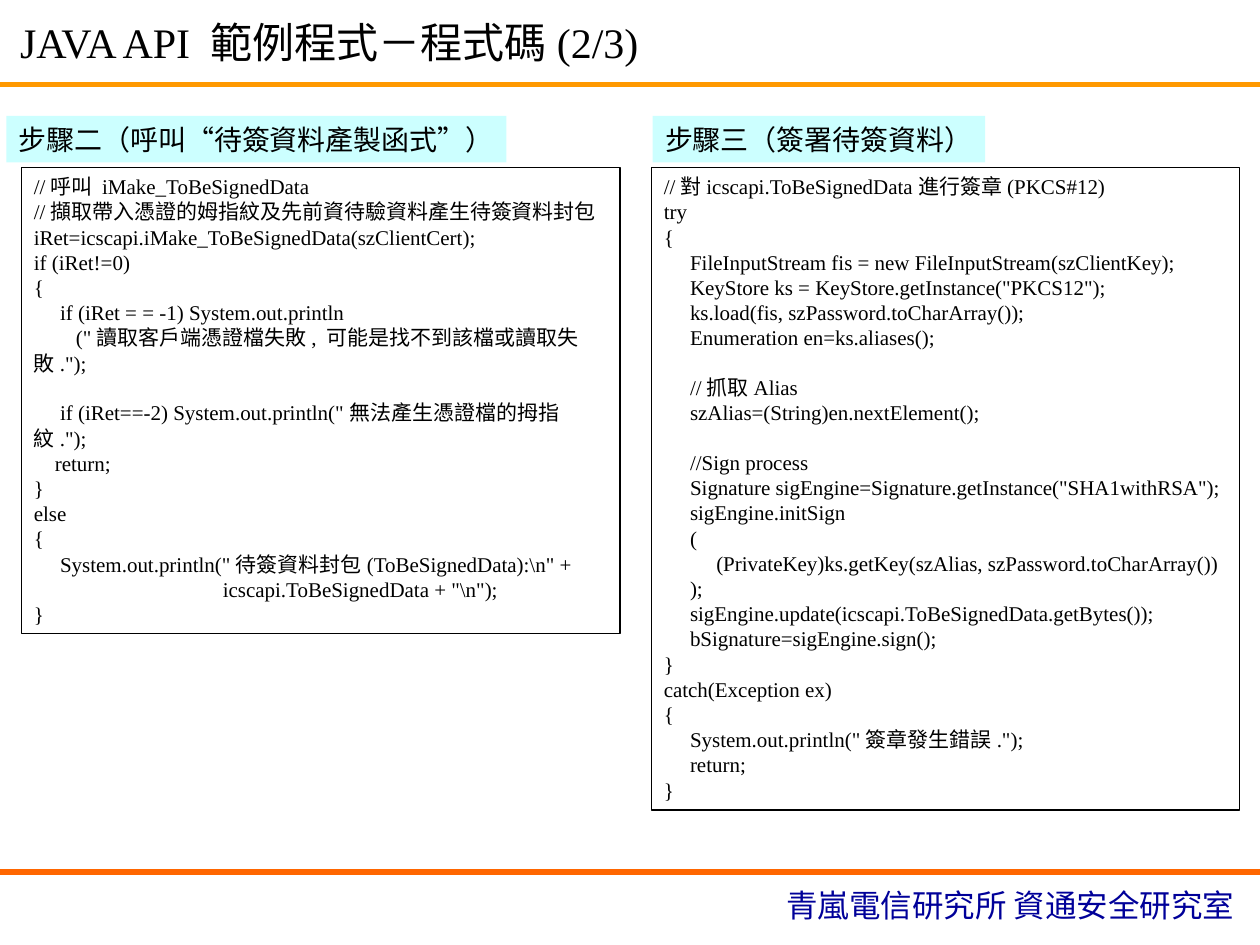
from lxml.etree import SubElement
from pptx import Presentation
from pptx.dml.color import RGBColor
from pptx.enum.shapes import MSO_CONNECTOR, MSO_SHAPE
from pptx.enum.text import MSO_ANCHOR, MSO_AUTO_SIZE, PP_ALIGN
from pptx.oxml.ns import qn
from pptx.util import Inches, Pt

COLORS = {
    "text": "000000",
    "footer": "000099",
    "title_rule": "FF9900",
    "footer_rule": "FF6600",
    "heading": "CCFFFF",
}
SERIF, SANS = "Times New Roman", "Arial"
CODE_SIZE = 12
SPACE_WIDTH = CODE_SIZE / 4  # width of one space in the serif font
LINE_HEIGHT = 14  # height of one code line

MAKE_CODE = r"""
//呼叫 iMake_ToBeSignedData
//擷取帶入憑證的姆指紋及先前資待驗資料產生待簽資料封包
iRet=icscapi.iMake_ToBeSignedData(szClientCert);
if (iRet!=0)
{
     if (iRet = = -1) System.out.println
        ("讀取客戶端憑證檔失敗, 可能是找不到該檔或讀取失敗.");

     if (iRet==-2) System.out.println("無法產生憑證檔的拇指紋.");
    return;
}
else
{
     System.out.println("待簽資料封包(ToBeSignedData):\n" +
                                    icscapi.ToBeSignedData + "\n");
}
"""

SIGN_CODE = r"""
//對icscapi.ToBeSignedData進行簽章(PKCS#12)
try
{
     FileInputStream fis = new FileInputStream(szClientKey);
     KeyStore ks = KeyStore.getInstance("PKCS12");
     ks.load(fis, szPassword.toCharArray());
     Enumeration en=ks.aliases();

     //抓取Alias
     szAlias=(String)en.nextElement();

     //Sign process
     Signature sigEngine=Signature.getInstance("SHA1withRSA");
     sigEngine.initSign
     (
          (PrivateKey)ks.getKey(szAlias, szPassword.toCharArray())
     );
     sigEngine.update(icscapi.ToBeSignedData.getBytes());
     bSignature=sigEngine.sign();
}
catch(Exception ex)
{
     System.out.println("簽章發生錯誤.");
     return;
}
"""


def rgb(name):
    return RGBColor.from_string(COLORS[name])


def style_run(r, size, color="text", font=SERIF):
    r.font.size = Pt(size)
    r.font.name = font
    r.font.color.rgb = rgb(color)


def place(sp, left, top, width, height):
    sp.left, sp.top = Inches(left), Inches(top)
    sp.width, sp.height = Inches(width), Inches(height)


def add_title(slide, text):
    sp = slide.shapes.title
    place(sp, 0.06, 0.08, 9.92, 0.5)
    tf = sp.text_frame
    tf.text = text
    tf.auto_size = MSO_AUTO_SIZE.NONE
    tf.vertical_anchor = MSO_ANCHOR.TOP
    p = tf.paragraphs[0]
    p.alignment = PP_ALIGN.LEFT
    style_run(p.runs[0], 24)


def add_footer(slide, text):
    sp = slide.shapes.add_textbox(Inches(6.14), Inches(6.98), Inches(3.83), Inches(0.4))
    tf = sp.text_frame
    tf.text = text
    tf.word_wrap = False
    tf.auto_size = MSO_AUTO_SIZE.SHAPE_TO_FIT_TEXT
    style_run(tf.paragraphs[0].runs[0], 18, "footer")


def add_rule(slide, top, color):
    line = slide.shapes.add_connector(
        MSO_CONNECTOR.STRAIGHT, 0, Inches(top), Inches(10), Inches(top))
    line.line.color.rgb = rgb(color)
    line.line.width = Pt(3)
    SubElement(line._element.spPr, qn("a:effectLst"))


def add_box(slide, left, top, width, height):
    sp = slide.shapes.add_shape(
        MSO_SHAPE.RECTANGLE, Inches(left), Inches(top), Inches(width), Inches(height))
    sp.shadow.inherit = False
    sp.text_frame.vertical_anchor = MSO_ANCHOR.TOP
    return sp


def add_heading(slide, left, width, parts):
    sp = add_box(slide, left, 0.92, width, 0.37)
    sp.fill.solid()
    sp.fill.fore_color.rgb = rgb("heading")
    sp.line.fill.background()
    tf = sp.text_frame
    tf.word_wrap = False
    tf.auto_size = MSO_AUTO_SIZE.SHAPE_TO_FIT_TEXT
    p = tf.paragraphs[0]
    p.alignment = PP_ALIGN.LEFT
    for text, font in parts:
        r = p.add_run()
        r.text = text
        style_run(r, 16, font=font)


def add_code(slide, left, width, height, code):
    sp = add_box(slide, left, 1.33, width, height)
    sp.fill.background()
    sp.line.color.rgb = rgb("text")
    sp.line.width = Pt(0.75)
    tf = sp.text_frame
    tf.word_wrap = True
    p, gap = tf.paragraphs[0], 0
    for line in code.strip().splitlines():
        # An empty source line becomes space above the next paragraph
        if not line:
            gap = LINE_HEIGHT
            continue
        text = line.lstrip()
        if p.runs:
            p = tf.add_paragraph()
        p.text = text
        p.alignment = PP_ALIGN.LEFT
        p.space_before = Pt(gap)
        gap = 0
        # Leading spaces become a first-line indent
        indent = Pt((len(line) - len(text)) * SPACE_WIDTH)
        p._p.get_or_add_pPr().set("indent", str(indent))
        style_run(p.runs[0], CODE_SIZE)


def main():
    prs = Presentation()
    prs.slide_width, prs.slide_height = Inches(10), Inches(7.5)
    slide = prs.slides.add_slide(prs.slide_layouts[5])

    # Frame of the slide
    add_footer(slide, "青嵐電信研究所 資通安全研究室")
    add_rule(slide, 6.92, "footer_rule")
    add_rule(slide, 0.67, "title_rule")
    add_title(slide, "JAVA API 範例程式－程式碼(2/3)")

    # Step two: make the data to be signed
    add_heading(slide, 0.05, 3.97, [
        ("步驟二（", SERIF), ("呼叫", SANS), ("“", SERIF),
        ("待簽資料產製函式", SANS), ("”", SERIF), ("）", SANS)])
    add_code(slide, 0.17, 4.75, 3.7, MAKE_CODE)

    # Step three: sign it
    add_heading(slide, 5.18, 2.64, [("步驟三（", SERIF), ("簽署待簽資料）", SANS)])
    add_code(slide, 5.17, 4.67, 5.1, SIGN_CODE)

    prs.save("out.pptx")


if __name__ == "__main__":
    main()
